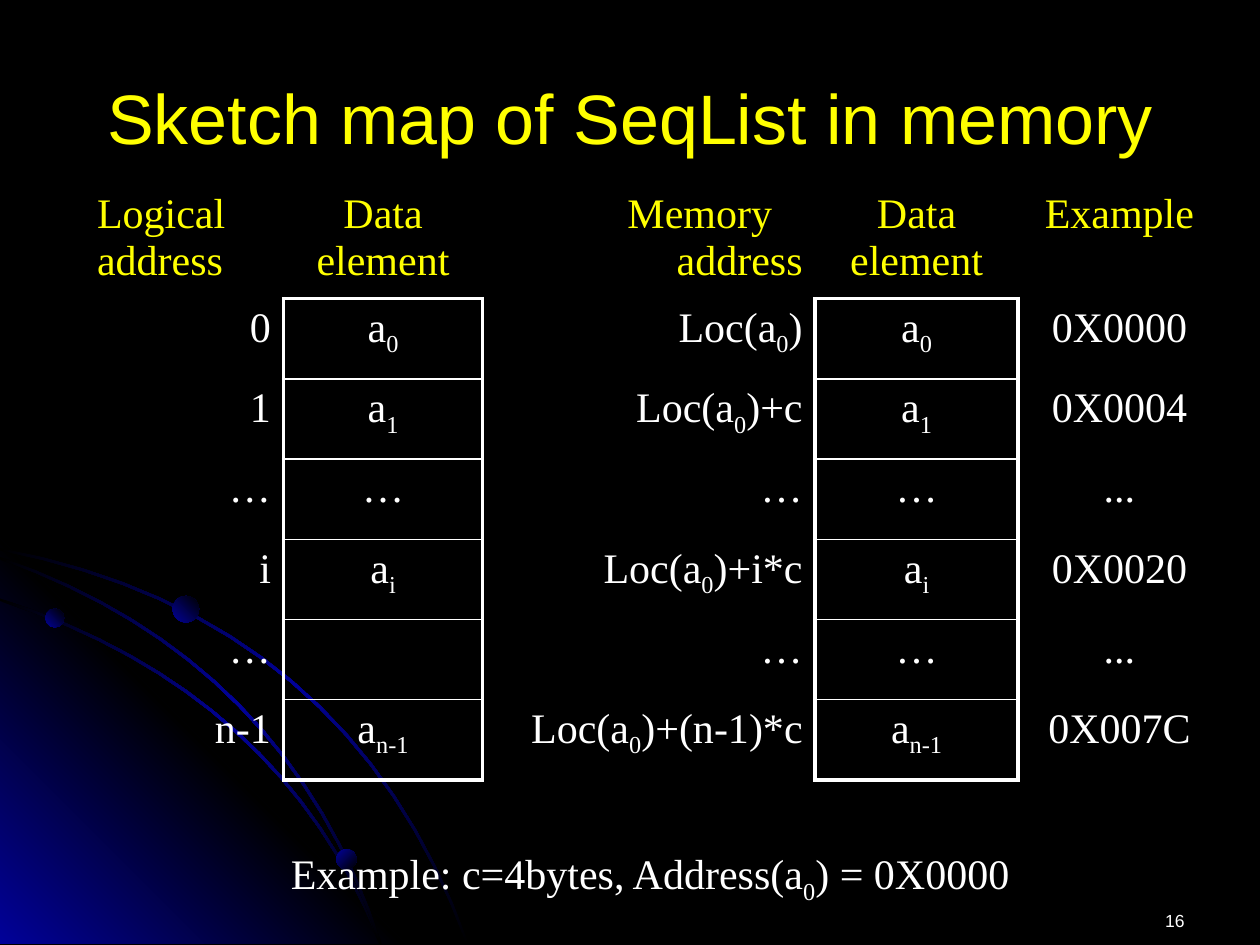
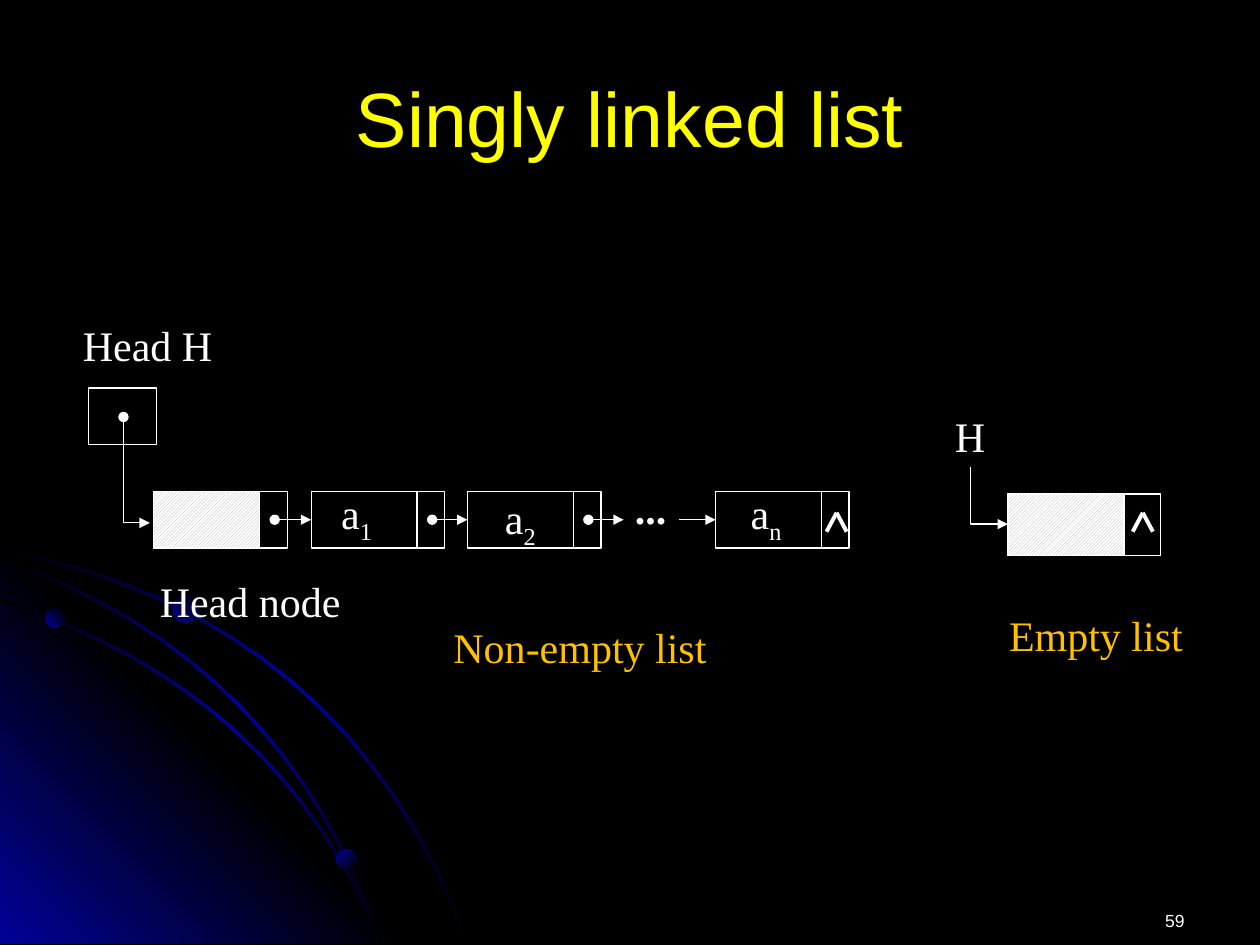
from pptx import Presentation
from pptx.dml.color import RGBColor
from pptx.enum import dml, shapes, text
from pptx.oxml import parse_xml
from pptx.oxml.ns import nsdecls, qn
from pptx.util import Inches, Pt

# ---- Shared look -------------------------------------------------------
COLORS = {"black": "000000", "blue": "010199", "white": "FFFFFF",
          "title": "FFFF00", "caption": "FFC000", "hatch": "B2B2B2"}
TITLE_FONT, BODY_FONT = "Arial", "Times New Roman"
SLIDE_W, SLIDE_H = 10, 7.5
TITLE_BOX = (0.5, 0.3, 9, 1.25)
NUMBER_BOX = (7.17, 7.17, 2.33, 0.26)
THIN, MEDIUM, THICK = 0.75, 1, 2.25
ALIGNS = {"l": text.PP_ALIGN.LEFT, "c": text.PP_ALIGN.CENTER, "r": text.PP_ALIGN.RIGHT}

# Backdrop: a glowing corner, curved streaks and the balls that ride on them
CORNER = [(3.22, 7.49), (0, 7.49), (0, 4.27)]
STREAK_WIDTH, STREAK_STEPS = 0.02, 16
STREAKS = [  # start, control point, end of each curve
    ((0, 4.35), (2.78, 4.88), (3.72, 7.49)),
    ((0, 4.75), (2.25, 5.48), (3.03, 7.49)),
    ((0, 4.42), (2.29, 5.22), (3.03, 7.49)),
]
BALLS = [(0.36, 4.83, 0.15, 315), (2.67, 6.74, 0.16, 45), (1.37, 4.73, 0.21, 315)]

# ---- Slide 16: text in [brackets] is subscript, a newline starts a paragraph
MEMORY_ROWS = [
    ("Logical address", "Data element", "Memory\naddress", "Data element", "Example"),
    ("0", "a[0]", "Loc(a[0])", "a[0]", "0X0000"),
    ("1", "a[1]", "Loc(a[0])+c", "a[1]", "0X0004"),
    ("…", "…", "…", "…", "..."),
    ("i", "a[i]", "Loc(a[0])+i*c", "a[i]", "0X0020"),
    ("…", "", "…", "…", "..."),
    ("n-1", "a[n-1]", "Loc(a[0])+(n-1)*c", "a[n-1]", "0X007C"),
]
COL_WIDTHS = [1.58, 1.58, 2.64, 1.61, 1.61]
COL_ALIGNS = "rcrcc"
BOXED_COLS = (1, 3)
TABLE_X, TABLE_Y, TABLE_H, HEADER_H = 0.67, 1.47, 4.72, 0.9
MEMORY_INDENT = 1.05
NO_GRID_STYLE = "{2D5ABB26-0587-4C30-8999-92F81FD0307C}"
EXAMPLE = ("Example: c=4bytes, Address(a[0]) = 0X0000", 2.21, 6.68, 5.93)

# ---- Slide 59: a node is a data field and a pointer field
NODE_Y, NODE_W, NODE_H, DATA_W = 3.9, 1.06, 0.45, 0.84
NODE_MID = NODE_Y + NODE_H / 2
NODES = [  # left, label, label left, label top; a head node has no label
    (1.22, None, None, None),
    (2.47, "a[1]", 2.61, 3.82),
    (3.71, "a[2]", 3.91, 3.86),
    (5.68, "a[n]", 5.86, 3.82),
]
LABEL_W = 0.46
DOT_DX = 0.96               # from a node's left side to the dot of its pointer
DOTS_BEFORE, DOTS_AFTER = 4.95, 5.39   # arrow ends on both sides of the "..."
EMPTY_NODE = (8, 3.92, 1.21, 0.49, 0.92)
HEAD_BOX = (0.7, 3.08, 0.54, NODE_H)
HEAD_POINTER = [(0.98, 3.31), (0.98, 4.15), (1.19, 4.15)]
EMPTY_POINTER = ((7.7, 3.71), (8, 4.16))
NULL_MARK_XS, NULL_MARK_Y = (6.64, 9.07), 4.07
NULL_MARK_DX, NULL_MARK_H = 0.08, 0.15
CAPTIONS = [
    ("...", 4.94, 3.78, 0.45, {"bold": True}),
    ("Head H", 0.56, 2.49, 1.23, {}),
    ("Head node", 1.17, 4.52, 1.64, {}),
    ("H", 7.48, 3.21, 0.44, {}),
    ("Non-empty list", 3.5, 4.88, 2.21, {"color": "caption"}),
    ("Empty list", 7.91, 4.79, 1.58, {"color": "caption"}),
]


# ---- Text and drawing helpers ------------------------------------------
def rgb(name):
    return RGBColor.from_string(COLORS[name])


def xml(tag, attrs="", inner=""):
    return parse_xml(f'<a:{tag} {nsdecls("a")} {attrs}>{inner}</a:{tag}>')


def write(tf, content, align="l", color="white", size=24, **fmt):
    """Fill a text frame, turning [x] into a subscript."""
    fmt = {"name": BODY_FONT, "size": Pt(size), **fmt}
    for i, line in enumerate(content.split("\n")):
        p = tf.add_paragraph() if i else tf.paragraphs[0]
        p.alignment = ALIGNS[align]
        for k, part in enumerate(line.replace("]", "[").split("[")):
            if not part:
                continue
            r = p.add_run()
            r.text = part
            r.font.color.rgb = rgb(color)
            for key, value in fmt.items():
                setattr(r.font, key, value)
            if k % 2:  # odd parts stood inside brackets
                r.font._element.set("baseline", "-25000")


def add_label(s, content, x, y, w, **fmt):
    tf = s.shapes.add_textbox(*map(Inches, (x, y, w, 0.5))).text_frame
    tf.word_wrap, tf.auto_size = False, text.MSO_AUTO_SIZE.SHAPE_TO_FIT_TEXT
    write(tf, content, **fmt)


def style_line(sp, width=THIN, head=None, tail=None):
    sp.line.color.rgb, sp.line.width = rgb("white"), Pt(width)
    for tag, kind in (("headEnd", head), ("tailEnd", tail)):
        if kind:
            sp.element.spPr.find(qn("a:ln")).append(xml(tag, f'type="{kind}"'))


def add_line(s, start, end, kind=shapes.MSO_CONNECTOR.STRAIGHT, **style):
    c = s.shapes.add_connector(kind, *map(Inches, (*start, *end)))
    style_line(c, **style)
    c.element.spPr.append(xml("effectLst"))
    return c


def add_down_right_arrow(s, start, end):
    """One-bend arrow: the preset runs across, then down, so turn it by 270 degrees."""
    (x1, y1), (x2, y2) = start, end
    mid_x, mid_y = (x1 + x2) / 2, (y1 + y2) / 2
    half_w, half_h = (x2 - x1) / 2, (y2 - y1) / 2
    c = add_line(s, (mid_x + half_h, mid_y - half_w), (mid_x - half_h, mid_y + half_w),
                 shapes.MSO_CONNECTOR.ELBOW, tail="triangle")
    c.element.spPr.find(qn("a:prstGeom")).set("prst", "bentConnector2")
    c.element.spPr.find(qn("a:xfrm")).set("rot", str(270 * 60000))


def add_outline(s, points, close):
    first, *rest = [(Inches(x), Inches(y)) for x, y in points]
    fb = s.shapes.build_freeform(*first)
    fb.add_line_segments(rest, close=close)
    sp = fb.convert_to_shape()
    sp.shadow.inherit = False
    sp.fill.background()
    return sp


def add_box(s, x, y, w, h, kind=shapes.MSO_SHAPE.RECTANGLE):
    sp = s.shapes.add_shape(kind, *map(Inches, (x, y, w, h)))
    sp.shadow.inherit = False
    sp.fill.background()
    style_line(sp)
    return sp


# ---- Backdrop and slide frame ------------------------------------------
def fill_gradient(sp, names, angle):
    """Fill with evenly spaced colour stops and drop the outline."""
    step = 100000 // (len(names) - 1)
    stops = "".join(f'<a:gs pos="{i * step}"><a:srgbClr val="{COLORS[name]}"/></a:gs>'
                    for i, name in enumerate(names))
    spPr = sp.element.spPr
    spPr.replace(spPr.find(qn("a:noFill")), xml(
        "gradFill", 'rotWithShape="1"',
        f'<a:gsLst>{stops}</a:gsLst><a:lin ang="{angle * 60000}" scaled="1"/>'))
    sp.line.fill.background()
    return sp


def curve(start, control, end):
    """Points along a quadratic Bezier curve."""
    ts = [i / STREAK_STEPS for i in range(STREAK_STEPS + 1)]
    return [tuple((1 - t) ** 2 * a + 2 * t * (1 - t) * b + t * t * c
                  for a, b, c in zip(start, control, end)) for t in ts]


def streak_outline(start, control, end):
    """Out along the upper edge, back along an edge one streak width further in."""
    (sx, sy), (cx, cy), (ex, ey) = start, control, end
    w = STREAK_WIDTH
    inner = curve((sx, sy + w), (cx - w, cy + w), (ex - w, ey))
    return curve(start, control, end) + inner[::-1]


def add_backdrop(s, layout):
    """Draw the backdrop with the slide's tools, then move it to the layout."""
    parts = [fill_gradient(add_outline(s, CORNER, True), ("blue", "black", "blue"), 315)]
    for streak in STREAKS:
        sp = add_outline(s, streak_outline(*streak), True)
        parts.append(fill_gradient(sp, ("black", "blue", "black"), 45))
    for x, y, d, angle in BALLS:
        ball = add_box(s, x, y, d, d, shapes.MSO_SHAPE.OVAL)
        parts.append(fill_gradient(ball, ("blue", "black"), angle))
    for shape_id, sp in enumerate(parts, start=100):
        sp.element.nvSpPr.cNvPr.set("id", str(shape_id))
        layout.shapes.element.append(sp.element)


def set_up_layout(prs):
    layout = prs.slide_layouts.get_by_name("Title Only")
    bg = layout.background.fill
    bg.solid()
    bg.fore_color.rgb = rgb("black")
    title = layout.placeholders[0]
    for side, value in zip(("left", "top", "width", "height"), TITLE_BOX):
        setattr(title, side, Inches(value))
    return layout


def add_slide(prs, layout, title, size, number):
    s = prs.slides.add_slide(layout)
    tf = s.shapes.title.text_frame
    tf.vertical_anchor = text.MSO_ANCHOR.MIDDLE
    write(tf, title, "c", "title", size, name=TITLE_FONT)
    tf = s.shapes.add_textbox(*map(Inches, NUMBER_BOX)).text_frame
    tf.word_wrap = True
    write(tf, str(number), "r", size=10, name=TITLE_FONT)
    return s


# ---- Slide contents ----------------------------------------------------
def cell_borders(row, col):
    """Border widths of a cell: thick round a boxed column, thinner between its rows."""
    header, last = row == 0, row == len(MEMORY_ROWS) - 1
    borders = {}
    if not header:
        if col in BOXED_COLS or col - 1 in BOXED_COLS:
            borders["lnL"] = THICK
        if col in BOXED_COLS or col + 1 in BOXED_COLS:
            borders["lnR"] = THICK
    if col in BOXED_COLS:
        if not header:
            borders["lnT"] = THICK if row == 1 else MEDIUM
        borders["lnB"] = THICK if header or last else MEDIUM
    return borders


def draw_borders(cell, borders):
    line_fill = f'<a:solidFill><a:srgbClr val="{COLORS["white"]}"/></a:solidFill>'
    for k, (tag, width) in enumerate(borders.items()):
        cell._tc.get_or_add_tcPr().insert(k, xml(tag, f'w="{Pt(width)}"', line_fill))


def add_memory_table(s):
    frame = s.shapes.add_table(len(MEMORY_ROWS), len(COL_WIDTHS), *map(
        Inches, (TABLE_X, TABLE_Y, sum(COL_WIDTHS), TABLE_H)))
    table = frame.table
    table.first_row = table.horz_banding = False
    next(frame.element.iter(qn("a:tableStyleId"))).text = NO_GRID_STYLE
    for col, width in zip(table.columns, COL_WIDTHS):
        col.width = Inches(width)
    row_h = (TABLE_H - HEADER_H) / (len(MEMORY_ROWS) - 1)
    for i, row in enumerate(MEMORY_ROWS):
        table.rows[i].height = Inches(row_h if i else HEADER_H)
        for j, content in enumerate(row):
            cell = table.cell(i, j)
            cell.fill.background()
            write(cell.text_frame, content, COL_ALIGNS[j], "white" if i else "title")
            draw_borders(cell, cell_borders(i, j))
    table.cell(0, 0).text_frame.paragraphs[0].alignment = ALIGNS["l"]
    memory = table.cell(0, 2).text_frame.paragraphs[0]
    memory.alignment = ALIGNS["l"]
    memory._p.get_or_add_pPr().set("marL", str(Inches(MEMORY_INDENT)))


def add_node(s, x, y, w, h, data_w, is_head):
    """Draw a list node; the data field of a head node is hatched."""
    box = add_box(s, x, y, w, h)
    if is_head:
        fill = add_box(s, x, y, data_w, h).fill
        fill.patterned()
        fill.pattern = dml.MSO_PATTERN.LIGHT_UPWARD_DIAGONAL
        fill.fore_color.rgb, fill.back_color.rgb = rgb("hatch"), rgb("white")
    else:
        add_line(s, (x + data_w, y), (x + data_w, y + h))
    return box


def add_pointer(s, start_x, end_x, head=None, target=None):
    c = add_line(s, (start_x, NODE_MID), (end_x, NODE_MID), head=head, tail="triangle")
    if target:
        c.end_connect(target, 1)


def add_linked_lists(s):
    boxes = []
    for x, label, label_x, label_y in NODES:
        boxes.append(add_node(s, x, NODE_Y, NODE_W, NODE_H, DATA_W, is_head=label is None))
        if label:
            add_label(s, label, label_x, label_y, LABEL_W)
    xs = [node[0] for node in NODES]
    for i in (0, 1):
        add_pointer(s, xs[i] + DOT_DX, xs[i + 1], "oval", boxes[i + 1])
    add_pointer(s, xs[2] + DOT_DX, DOTS_BEFORE, "oval")
    add_pointer(s, DOTS_AFTER, xs[3], target=boxes[3])

    add_box(s, *HEAD_BOX)
    style_line(add_outline(s, HEAD_POINTER, close=False), head="oval", tail="triangle")
    add_node(s, *EMPTY_NODE, is_head=True)
    add_down_right_arrow(s, *EMPTY_POINTER)
    for x in NULL_MARK_XS:
        for dx in (-NULL_MARK_DX, NULL_MARK_DX):
            add_line(s, (x + dx, NULL_MARK_Y + NULL_MARK_H), (x, NULL_MARK_Y), width=THICK)
    for *place, fmt in CAPTIONS:
        add_label(s, *place, **fmt)


def main():
    prs = Presentation()
    prs.slide_width, prs.slide_height = Inches(SLIDE_W), Inches(SLIDE_H)
    layout = set_up_layout(prs)

    s = add_slide(prs, layout, "Sketch map of SeqList in memory", 40, 16)
    add_backdrop(s, layout)
    add_memory_table(s)
    add_label(s, *EXAMPLE)

    add_linked_lists(add_slide(prs, layout, "Singly linked list", 44, 59))
    prs.save("out.pptx")


if __name__ == "__main__":
    main()
